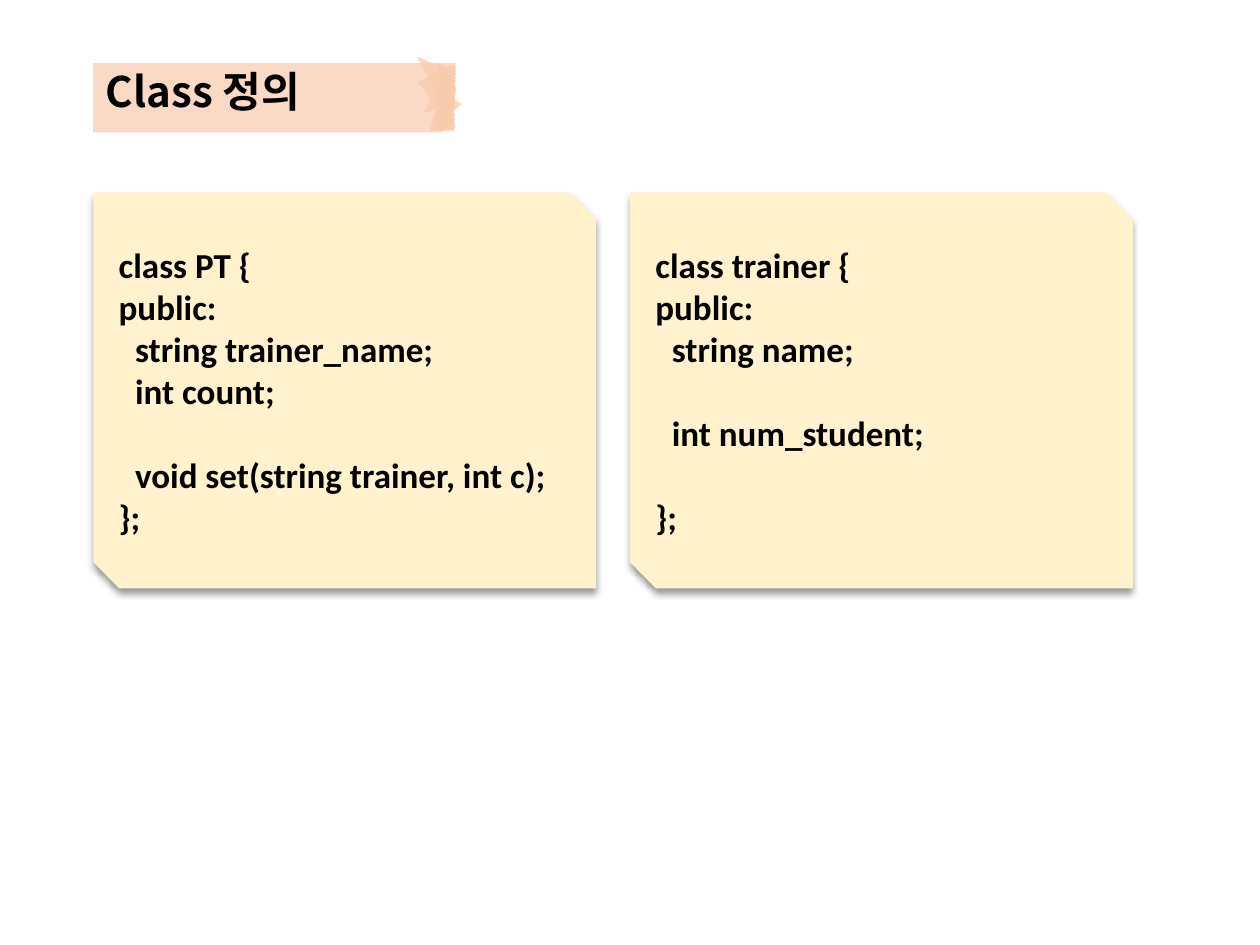
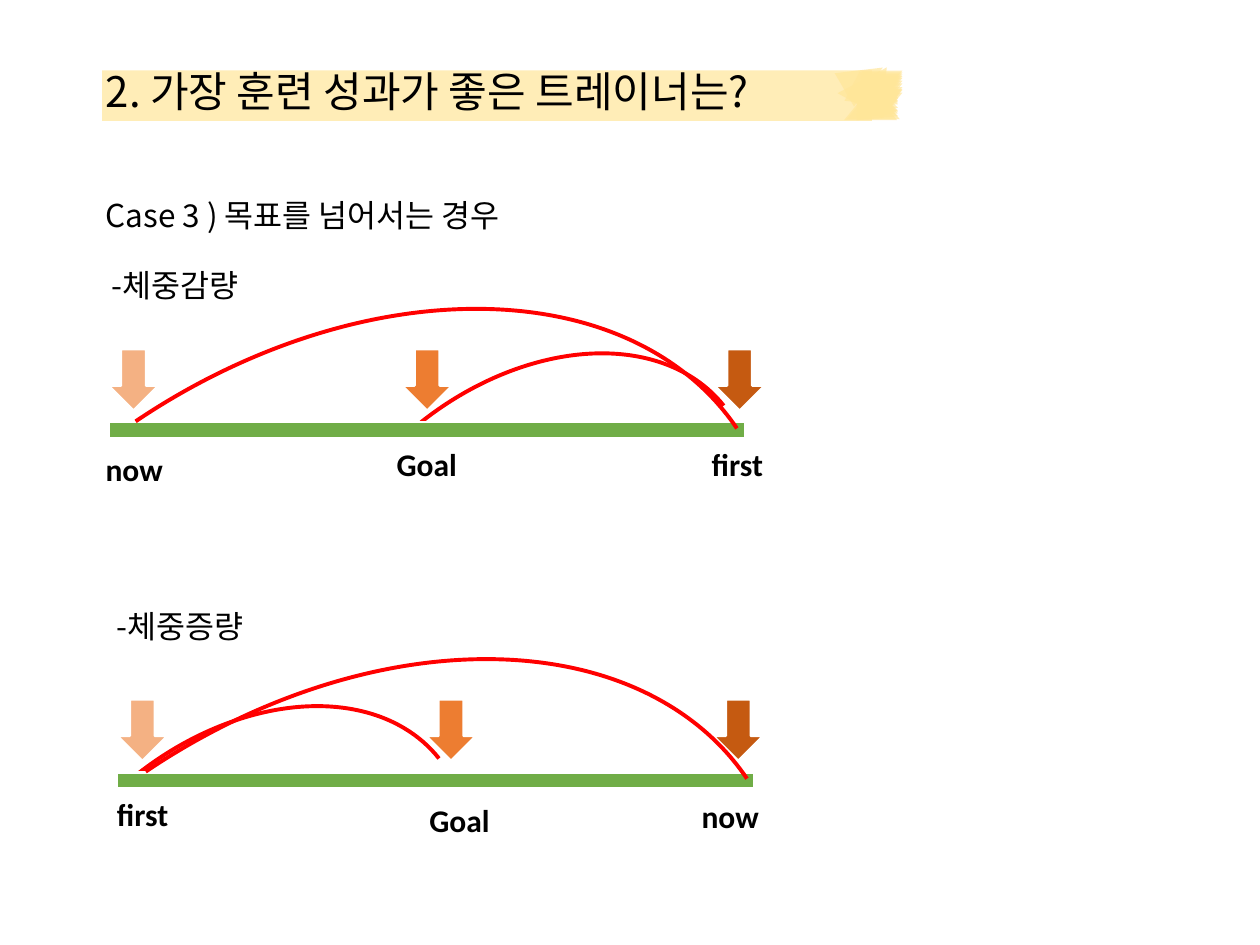
from lxml.etree import SubElement
from pptx import Presentation
from pptx.dml.color import RGBColor
from pptx.enum.shapes import MSO_SHAPE
from pptx.enum.text import MSO_ANCHOR, MSO_AUTO_SIZE, PP_ALIGN
from pptx.oxml.ns import qn
from pptx.util import Inches, Pt

# Theme: colours and type styles
THEME = {
    "peach": "F8CBAD", "gold": "FFE699", "cream": "FFF2CC", "ink": "000000",
    "white": "FFFFFF", "green": "70AD47", "red": "FF0000",
    "arrows": ["F4B183", "ED7D31", "C55A11"],
    "title": {"name": "Noto Sans CJK KR", "size": Pt(24), "bold": False},
    "strong": {"name": "Noto Sans CJK KR", "size": Pt(24), "bold": True},
    "note": {"name": "Noto Sans CJK KR", "size": Pt(18), "bold": False},
    "label": {"name": "Calibri", "size": Pt(18), "bold": True},
    "code": {"name": "Calibri", "size": Pt(20), "bold": True},
}
FLOAT = {"word_wrap": False, "auto_size": MSO_AUTO_SIZE.SHAPE_TO_FIT_TEXT}
FIXED = {"word_wrap": True, "vertical_anchor": MSO_ANCHOR.MIDDLE}


def draw(shapes, kind, box, fill=None, line=None, width=1.5, turn=0):
    """Add a preset shape with plain fill and line."""
    shape = shapes.add_shape(kind, *map(Inches, box))
    shape.shadow.inherit = False
    shape.rotation = turn
    for part, color in ((shape.fill, fill), (shape.line.fill, line)):
        if color:
            part.solid()
            part.fore_color.rgb = RGBColor.from_string(color)
        else:
            part.background()
    if line:
        shape.line.width = Pt(width)
    return shape


def write(frame, lines, style, form):
    """Fill a text frame with (text, indent in inches, gap in points)."""
    for key, val in form.items():
        setattr(frame, key, val)
    for i, (text, indent, gap) in enumerate(lines):
        para = frame.paragraphs[0] if i == 0 else frame.add_paragraph()
        para.alignment = PP_ALIGN.LEFT
        para.space_before = Pt(gap)
        para._p.get_or_add_pPr().set("marL", str(int(Inches(indent))))
        run = para.add_run()
        run.text = text
        for key, val in THEME[style].items():
            setattr(run.font, key, val)
        run.font.color.rgb = RGBColor.from_string(THEME["ink"])
        east = SubElement(run._r.get_or_add_rPr(), qn("a:ea"))
        east.set("typeface", THEME[style]["name"])


deck = Presentation()
deck.slide_width, deck.slide_height = Inches(10), Inches(7.5)

# Torn end of the title tape: left, top, width, height, turn
BASE = (0.74, 0.5, 2.77, 0.55)
TEARS = [
    (3.42, 0.68, 0.19, 0.35, 0), (3.41, 0.69, 0.19, 0.35, 0),
    (3.41, 0.58, 0.2, 0.46, 152.4), (3.27, 0.51, 0.42, 0.16, 59.9),
    (3.44, 0.63, 0.15, 0.28, 319.2), (3.33, 0.7, 0.36, 0.16, 117.2),
]
for left, turn, tops in (
    (3.45, 354.4, (0.74, 0.69, 0.71, 0.68, 0.65, 0.61, 0.59, 0.58, 0.57, 0.55, 0.54, 0.52)),
    (3.47, 180, (0.5, 0.52, 0.54, 0.56, 0.58, 0.61, 0.64, 0.68, 0.7, 0.74, 0.71)),
):
    TEARS += [(left, top, 0.15, 0.28, turn) for top in tops]

# Both slides: tape stretched to its band, then the title over it
HEADS = [
    ("Class 정의", "strong", "peach", BASE),
    ("2. 가장 훈련 성과가 좋은 트레이너는?", "title", "gold", (0.81, 0.56, 6.11, 0.4)),
]
slides = []
for text, style, tint, band in HEADS:
    slide = deck.slides.add_slide(deck.slide_layouts[5])
    slides.append(slide)
    tape = slide.shapes.add_group_shape()
    parts = [draw(tape.shapes, MSO_SHAPE.RECTANGLE, band, THEME[tint])]
    wide, high = band[2] / BASE[2], band[3] / BASE[3]
    for left, top, w, h, turn in TEARS:
        midx = band[0] + (left + w / 2 - BASE[0]) * wide
        midy = band[1] + (top + h / 2 - BASE[1]) * high
        # A tear on its side stretches along the other axis
        w, h = (w * high, h * wide) if 45 <= turn < 135 else (w * wide, h * high)
        box = (midx - w / 2, midy - h / 2, w, h)
        parts.append(draw(tape.shapes, MSO_SHAPE.ISOSCELES_TRIANGLE, box, THEME[tint], turn=turn))
    for part in parts:
        color = part.fill._xPr.find(qn("a:solidFill"))[0]
        SubElement(color, qn("a:alpha")).set("val", "70000")

    title = slide.shapes.title
    title.left, title.top, title.width, title.height = map(Inches, (0.74, 0.5, 6.86, 0.49))
    write(title.text_frame, [(text, 0, 0)], style, FIXED)
    title.text_frame.paragraphs[0].line_spacing = 0.9
    slide.shapes._spTree.append(title._element)

# Slide 1: class cards
STEP, SKIP = 0.13, 24
CARDS = [
    [("class PT {", 0, 0), ("public:", 0, 0), ("string trainer_name;", STEP, 0),
     ("int count;", STEP, 0), ("void set(string trainer, int c);", STEP, SKIP), ("};", 0, 0)],
    [("class trainer {", 0, 0), ("public:", 0, 0), ("string name;", STEP, 0),
     ("int num_student;", STEP, SKIP), ("};", 0, SKIP)],
]
for i, lines in enumerate(CARDS):
    card = draw(slides[0].shapes, MSO_SHAPE.SNIP_2_DIAG_RECTANGLE,
                (0.74 + i * 4.26, 1.53, 3.99, 3.14), THEME["cream"])
    card.adjustments[0], card.adjustments[1] = 0, 0.066
    write(card.text_frame, lines, "code", FIXED)
    shade = SubElement(card._element.spPr.find(qn("a:effectLst")), qn("a:outerShdw"))
    for key, val in {"blurRad": Pt(4), "dist": Pt(3), "dir": 5400000,
                     "algn": "t", "rotWithShape": 0}.items():
        shade.set(key, str(val))
    tone = SubElement(shade, qn("a:srgbClr"))
    tone.set("val", THEME["ink"])
    SubElement(tone, qn("a:alpha")).set("val", "40000")

# Slide 2: weight tracks, each with arrows and two arcs
TRACKS = [
    {"bar": (0.86, 3.35), "marks": (0.86, 3.19, 5.67),
     "near": (2.24, 3.05), "far": (-1.33, 2.88)},
    {"bar": (0.93, 6.13), "marks": (0.93, 3.38, 5.66),
     "near": (-0.02, 5.85), "far": (-1.25, 5.66)},
]
shapes = slides[1].shapes
for track in TRACKS:
    left, top = track["bar"]
    draw(shapes, MSO_SHAPE.ARC, (*track["near"], 3.93, 2.78),
         line=THEME["red"], width=2.25, turn=321.6)
    draw(shapes, MSO_SHAPE.RECTANGLE, (left, top, 5.06, 0.13), THEME["green"], THEME["white"])
    for mark, tint in zip(track["marks"], THEME["arrows"]):
        draw(shapes, MSO_SHAPE.DOWN_ARROW, (mark, top - 0.58, 0.4, 0.49), tint, THEME["white"])
    draw(shapes, MSO_SHAPE.ARC, (*track["far"], 7.85, 5.43),
         line=THEME["red"], width=2.25, turn=326)

# Slide 2: labels and notes
TEXTS = [
    ("now", "label", 0.74, 3.52, 0.66), ("Goal", "label", 3.05, 3.48, 0.68),
    ("first", "label", 5.55, 3.48, 0.62), ("first", "label", 0.83, 6.26, 0.62),
    ("Goal", "label", 3.31, 6.31, 0.68), ("now", "label", 5.47, 6.28, 0.66),
    ("Case 3 ) 목표를 넘어서는 경우", "note", 0.74, 1.51, 3.72),
    ("-체중감량", "note", 0.79, 2.06, 1.34), ("-체중증량", "note", 0.83, 4.77, 1.34),
]
for text, style, left, top, width in TEXTS:
    box = shapes.add_textbox(*map(Inches, (left, top, width, 0.4)))
    write(box.text_frame, [(text, 0, 0)], style, FLOAT)

deck.save("out.pptx")
